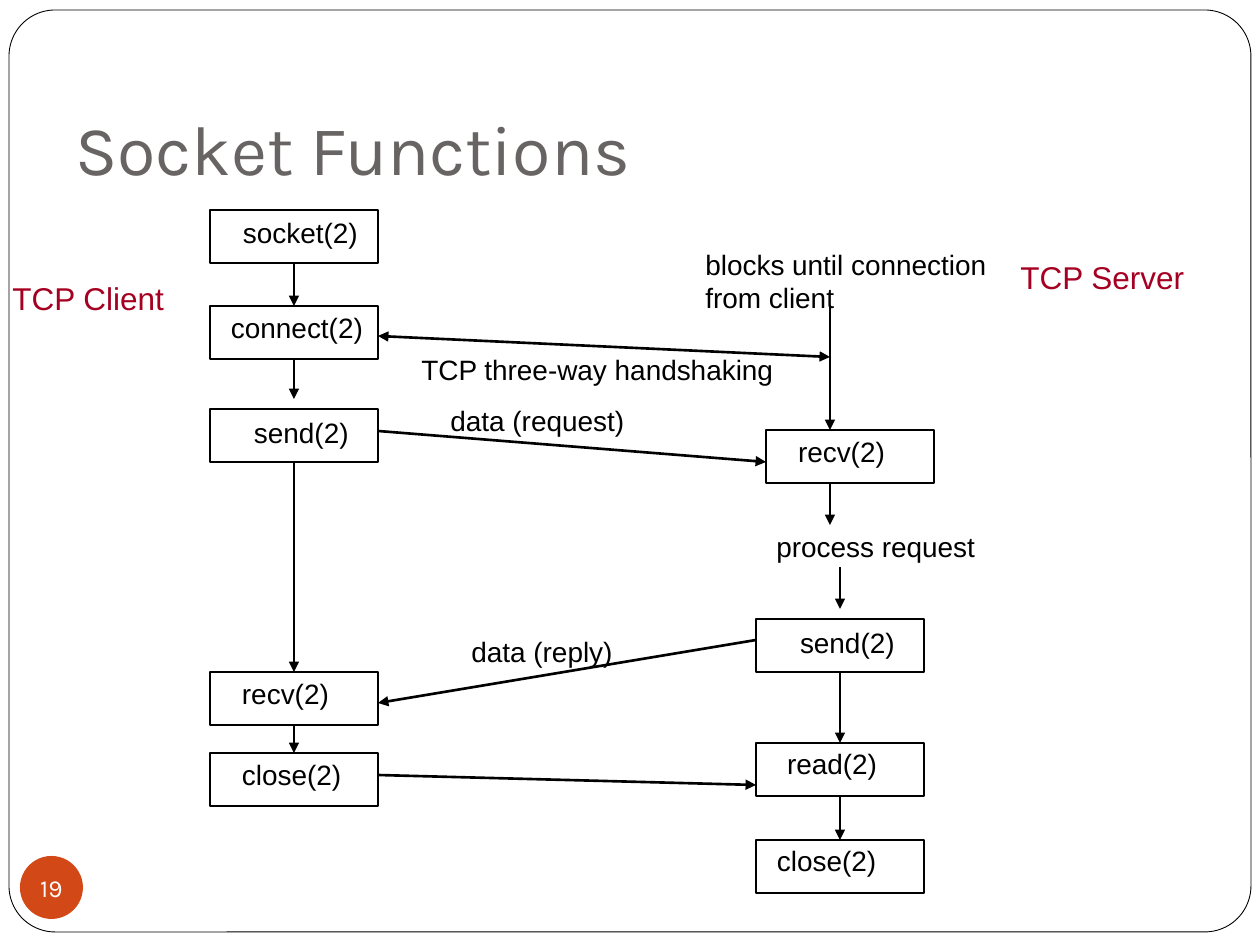
from dataclasses import dataclass
from typing import Optional

import pptx
import pptx.dml.color
import pptx.enum.shapes
import pptx.enum.text
import pptx.oxml
import pptx.oxml.ns
import pptx.util

SHAPES = pptx.enum.shapes.MSO_SHAPE
ANCHORS = pptx.enum.text.MSO_ANCHOR
FITS = pptx.enum.text.MSO_AUTO_SIZE
EMU_PER_PX = 914400 / 126
BOX_WIDTH, BOX_HEIGHT = 168, 53
BLACK, WHITE, RED, GREY, ORANGE = "000000", "FFFFFF", "A50021", "696464", "D34817"


@dataclass
class Call:
    """A boxed socket call; indent and drop place its text inside the box."""
    key: str
    text: str
    left: int
    top: int
    indent: int
    drop: int


@dataclass
class Label:
    text: str
    left: int
    top: int
    width: int
    height: int
    size: int = 16
    color: str = BLACK


@dataclass
class Arrow:
    start: tuple[int, int]
    end: tuple[int, int]
    both_ends: bool = False


@dataclass
class Step:
    """An arrow from the bottom of one call to the top of the next, or to a free height."""
    source: str
    target: Optional[str] = None
    end_y: int = 0


CALLS = [
    Call("client socket", "socket(2)", 210, 210, 33, 6),
    Call("client connect", "connect(2)", 210, 306, 21, 5),
    Call("client send", "send(2)", 210, 409, 44, 7),
    Call("client recv", "recv(2)", 210, 672, 32, 5),
    Call("client close", "close(2)", 210, 753, 32, 5),
    Call("server recv", "recv(2)", 766, 430, 32, 5),
    Call("server send", "send(2)", 756, 619, 44, 7),
    Call("server read", "read(2)", 756, 743, 31, 4),
    Call("server close", "close(2)", 756, 840, 21, 4),
]
LABELS = [
    Label("blocks until connection\nfrom client", 693, 241, 314, 81),
    Label("TCP three-way handshaking", 409, 346, 380, 47),
    Label("data (request)", 438, 397, 202, 47),
    Label("process request", 764, 523, 226, 47),
    Label("data (reply)", 459, 628, 176, 47),
    Label("TCP Server", 1008, 252, 189, 50, 18, RED),
    Label("TCP Client", 0, 273, 178, 50, 18, RED),
]
STEPS = [
    Step("client socket", "client connect"),
    Step("client connect", end_y=399),
    Step("client send", "client recv"),
    Step("client recv", "client close"),
    Step("server send", "server read"),
    Step("server read", "server close"),
]
ARROWS = [
    Arrow((378, 336), (830, 357), both_ends=True),
    Arrow((378, 431), (766, 462)),
    Arrow((756, 640), (378, 703)),
    Arrow((378, 775), (756, 785)),
    Arrow((830, 305), (830, 430)),
    Arrow((830, 483), (830, 525)),
    Arrow((840, 567), (840, 609)),
]


def px(*lengths: float) -> list[int]:
    return [round(length * EMU_PER_PX) for length in lengths]


def rgb(color: str):
    return pptx.dml.color.RGBColor.from_string(color)


def set_values(target, values: dict) -> None:
    for name, value in values.items():
        setattr(target, name, value)


def write(shape, text: str, size: int, color: str, font="Arial", align="LEFT", **frame) -> None:
    set_values(shape.text_frame, frame)
    shape.text_frame.text = text
    for para in shape.text_frame.paragraphs:
        para.alignment = pptx.enum.text.PP_ALIGN[align]
        for span in para.runs:
            set_values(span.font, {"name": font, "size": pptx.util.Pt(size)})
            span.font.color.rgb = rgb(color)


def add_shape(page, kind, bounds, fill=None, line_width=0.0):
    shape = page.shapes.add_shape(kind, *px(*bounds))
    shape.shadow.inherit = False
    if fill:
        shape.fill.solid()
        shape.fill.fore_color.rgb = rgb(fill)
    else:
        shape.fill.background()
    if line_width:
        shape.line.color.rgb = rgb(BLACK)
        shape.line.width = pptx.util.Pt(line_width)
    else:
        shape.line.fill.background()
    return shape


def add_call(page, call: Call):
    box = add_shape(page, SHAPES.RECTANGLE,
                    (call.left, call.top, BOX_WIDTH, BOX_HEIGHT), line_width=1.5)
    indent, drop = px(call.indent, call.drop)
    write(box, call.text, 16, BLACK, word_wrap=True, vertical_anchor=ANCHORS.TOP,
          margin_left=indent, margin_top=drop, margin_right=0, margin_bottom=0)
    return box


def add_label(page, label: Label) -> None:
    box = page.shapes.add_textbox(*px(label.left, label.top, label.width, label.height))
    write(box, label.text, label.size, label.color,
          word_wrap=True, auto_size=FITS.NONE, margin_right=0)


def add_arrow(page, arrow: Arrow):
    line = page.shapes.add_connector(
        pptx.enum.shapes.MSO_CONNECTOR.STRAIGHT, *px(*arrow.start, *arrow.end))
    line.line.color.rgb = rgb(BLACK)
    line.line.width = pptx.util.Pt(1.5)
    outline = line.line._get_or_add_ln()
    for tag in ("a:headEnd", "a:tailEnd") if arrow.both_ends else ("a:tailEnd",):
        head = pptx.oxml.parse_xml(f'<{tag} {pptx.oxml.ns.nsdecls("a")} type="triangle"/>')
        outline.append(head)
    effects = pptx.oxml.parse_xml(f'<a:effectLst {pptx.oxml.ns.nsdecls("a")}/>')
    line._element.spPr.append(effects)
    return line


def add_step(page, step: Step, boxes: dict) -> None:
    source = boxes[step.source]
    x = round((source.left + source.width / 2) / EMU_PER_PX)
    y = round((source.top + source.height) / EMU_PER_PX)
    line = add_arrow(page, Arrow((x, y), (x, step.end_y or y)))
    line.begin_connect(source, 2)
    if step.target:
        line.end_connect(boxes[step.target], 0)


def main() -> None:
    deck = pptx.Presentation()
    deck.slide_width, deck.slide_height = px(1260, 945)
    page = deck.slides.add_slide(deck.slide_layouts[6])

    frame = add_shape(page, SHAPES.ROUNDED_RECTANGLE, (9, 10, 1242, 922), WHITE, 0.5)
    frame.adjustments[0] = 0.05
    title = page.shapes.add_textbox(*px(63, 38, 1134, 158))
    write(title, "Socket Functions", 40, GREY, "Karla",
          word_wrap=True, vertical_anchor=ANCHORS.BOTTOM)

    boxes = {call.key: add_call(page, call) for call in CALLS}
    for step in STEPS:
        add_step(page, step, boxes)
    for arrow in ARROWS:
        add_arrow(page, arrow)
    for label in LABELS:
        add_label(page, label)

    badge = add_shape(page, SHAPES.OVAL, (20, 856, 63, 63), ORANGE)
    write(badge, "19", 14, WHITE, "Karla", "CENTER", word_wrap=False,
          vertical_anchor=ANCHORS.MIDDLE,
          margin_left=0, margin_top=0, margin_right=0, margin_bottom=0)
    deck.save("out.pptx")


if __name__ == "__main__":
    main()
